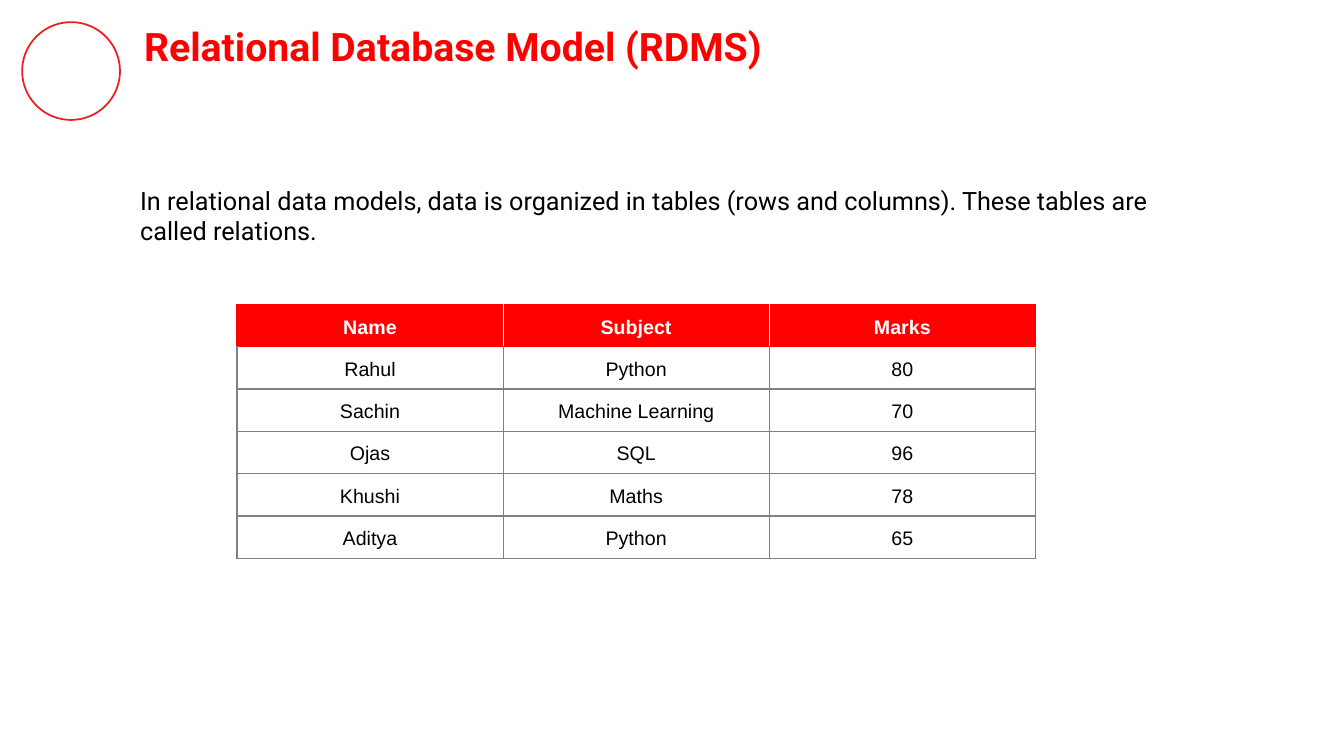
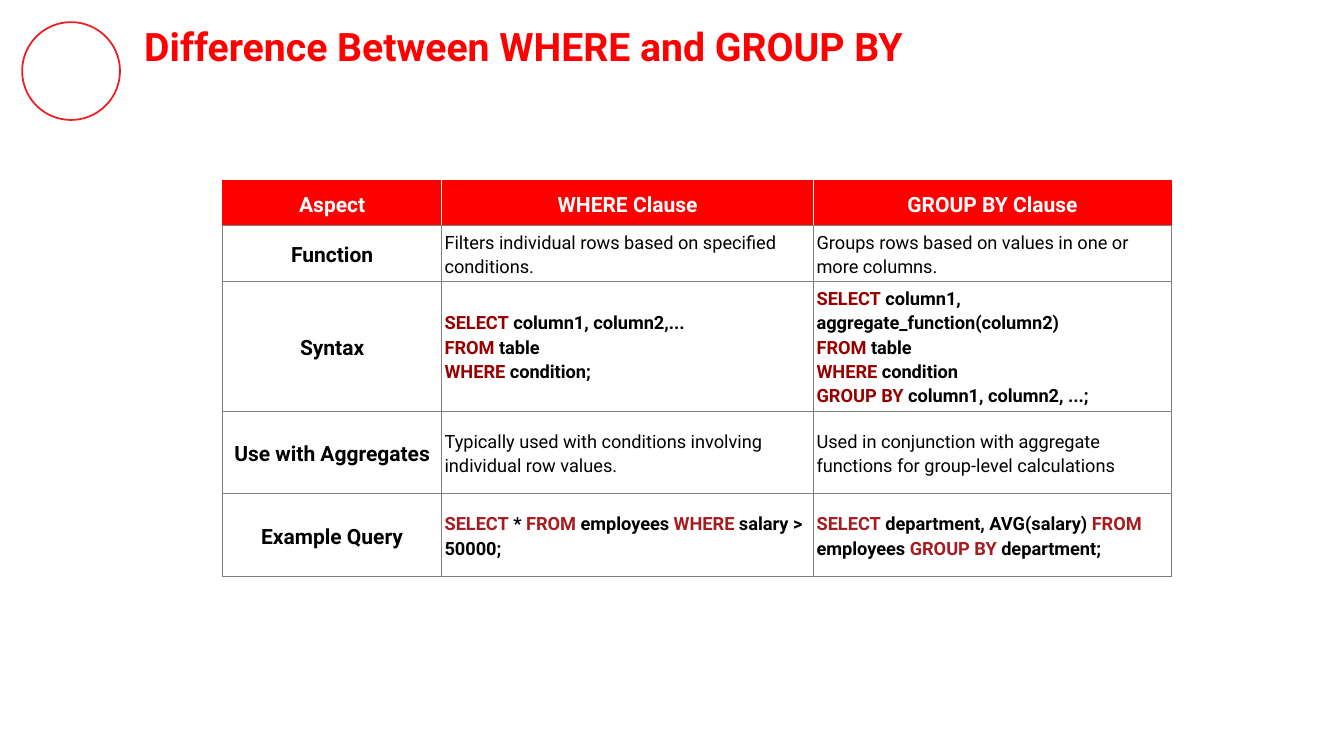
from dataclasses import dataclass

from pptx import Presentation
from pptx import util as u
from pptx.dml.color import RGBColor
from pptx.enum import shapes, text
from pptx.oxml import ns
from lxml import etree

# Shared look
EMU_PER_PX = 9144  # 100 px to the inch
TITLE_RED, HEADER_RED, RING_RED = "FF0001", "FF0000", "ED1D24"
SYNTAX_RED, QUERY_RED = "980000", "A71C20"
BLACK, WHITE, GRID = "000000", "FFFFFF", "808080"
ROBOTO, ARIAL = "Roboto", "Arial"
LEFT, CENTER = text.PP_ALIGN.LEFT, text.PP_ALIGN.CENTER


@dataclass
class Run:
    text: str
    size: float
    color: str = BLACK
    bold: bool = False


@dataclass
class Entry:
    lines: list
    align: int = LEFT


def px(length):
    return u.Emu(length * EMU_PER_PX)


def rgb(color):
    return RGBColor.from_string(color)


def set_margins(target, left, top, right, bottom):
    target.margin_left, target.margin_top = px(left), px(top)
    target.margin_right, target.margin_bottom = px(right), px(bottom)


def place(shape, left, top, width, height):
    shape.left, shape.top = px(left), px(top)
    shape.width, shape.height = px(width), px(height)


def write(frame, lines, font, align=LEFT, spacing=1.0):
    """Write one paragraph for each list of runs."""
    for index, runs in enumerate(lines):
        paragraph = frame.add_paragraph() if index else frame.paragraphs[0]
        paragraph.alignment = align
        paragraph.line_spacing = spacing
        for item in runs:
            run = paragraph.add_run()
            run.text = item.text
            run.font.name = font
            run.font.size = u.Pt(item.size)
            run.font.bold = item.bold
            run.font.color.rgb = rgb(item.color)


# Slide frame: ring and title
def add_titled_slide(deck, heading):
    slide = deck.slides.add_slide(deck.slide_layouts.get_by_name("Title Only"))
    ring = slide.shapes.add_shape(shapes.MSO_SHAPE.OVAL, px(22), px(22), px(97), px(97))
    ring.shadow.inherit = False
    ring.fill.background()
    ring.line.color.rgb = rgb(RING_RED)
    ring.line.width = u.Pt(1.25)

    title = slide.shapes.title
    place(title, 133, 12, 1118, 67)
    frame = title.text_frame
    frame.word_wrap = True
    frame.auto_size = text.MSO_AUTO_SIZE.NONE
    frame.vertical_anchor = text.MSO_ANCHOR.TOP
    set_margins(frame, 10, 10, 10, 10)
    write(frame, [[Run(heading, 28, TITLE_RED, True)]], ROBOTO)
    return slide


def add_body(slide, left, top, width, height, words):
    frame = slide.shapes.add_textbox(px(left), px(top), px(width), px(height)).text_frame
    frame.word_wrap = True
    set_margins(frame, 22, 5, 10, 5)
    write(frame, [[Run(words, 18)]], ROBOTO)


# Table entries
def label(words, size, color=BLACK, bold=True):
    return Entry([[Run(words, size, color, bold)]], CENTER)


def prose(words):
    return Entry([[Run(words, 13)]])


def code(keyword_color, *lines):
    """Each line alternates keyword and plain text, keyword first."""
    colors = (keyword_color, BLACK)
    return Entry([[Run(part, 13, colors[i % 2], True) for i, part in enumerate(line)]
                  for line in lines])


def set_borders(cell, colors):
    """Colours run left, right, top, bottom."""
    properties = cell._tc.get_or_add_tcPr()
    for index, (side, color) in enumerate(zip("LRTB", colors)):
        border = etree.Element(ns.qn(f"a:ln{side}"), w=str(u.Pt(1)))
        fill = etree.SubElement(border, ns.qn("a:solidFill"))
        etree.SubElement(fill, ns.qn("a:srgbClr"), val=color)
        properties.insert(index, border)


def border_colors(row, column, last_column, under_header):
    if row == 0:
        return (WHITE if column else HEADER_RED,
                WHITE if column < last_column else HEADER_RED,
                HEADER_RED, under_header)
    return GRID, GRID, under_header if row == 1 else GRID, GRID


def add_grid(slide, left, top, widths, heights, rows, font, under_header):
    table = slide.shapes.add_table(len(rows), len(widths), px(left), px(top),
                                   px(sum(widths)), px(sum(heights))).table
    table.first_row = table.horz_banding = False
    for column, width in zip(table.columns, widths):
        column.width = px(width)
    for r, (height, entries) in enumerate(zip(heights, rows)):
        table.rows[r].height = px(height)
        for c, entry in enumerate(entries):
            cell = table.cell(r, c)
            cell.vertical_anchor = text.MSO_ANCHOR.MIDDLE
            set_margins(cell, 3, 2, 3, 2)
            if r == 0:
                cell.fill.solid()
                cell.fill.fore_color.rgb = rgb(HEADER_RED)
            else:
                cell.fill.background()
            set_borders(cell, border_colors(r, c, len(widths) - 1, under_header))
            write(cell.text_frame, entry.lines, font, entry.align, 1.15)


# Slides
def add_relational_model(deck):
    slide = add_titled_slide(deck, "Relational Database Model (RDMS)")
    add_body(slide, 117, 179, 1045, 71,
             "In relational data models, data is organized in tables (rows and columns). "
             "These tables are called relations.")
    marks = [
        ("Rahul", "Python", "80"),
        ("Sachin", "Machine Learning", "70"),
        ("Ojas", "SQL", "96"),
        ("Khushi", "Maths", "78"),
        ("Aditya", "Python", "65"),
    ]
    rows = [[label(name, 14, WHITE) for name in ("Name", "Subject", "Marks")]]
    rows += [[label(value, 14, bold=False) for value in student] for student in marks]
    add_grid(slide, 235, 302, [264] * 3, [42] * len(rows), rows, ARIAL, HEADER_RED)


def add_clause_comparison(deck):
    slide = add_titled_slide(deck, "Difference Between WHERE and GROUP BY")
    aspects = [
        ("Function",
         prose("Filters individual rows based on specified conditions."),
         prose("Groups rows based on values in one or more columns.")),
        ("Syntax",
         code(SYNTAX_RED, ("SELECT", " column1, column2,..."), ("FROM", " table"),
              ("WHERE", " condition;")),
         code(SYNTAX_RED, ("SELECT", " column1, aggregate_function(column2)"),
              ("FROM", " table"), ("WHERE", " condition"),
              ("GROUP BY", " column1, column2, ...;"))),
        ("Use with Aggregates",
         prose("Typically used with conditions involving individual row values."),
         prose("Used in conjunction with aggregate functions for group-level calculations")),
        ("Example Query",
         code(QUERY_RED, ("SELECT", " * ", "FROM ", "employees ", "WHERE",
                          " salary > 50000;")),
         code(QUERY_RED, ("SELECT", " department, AVG(salary) ", "FROM", " employees ",
                          "GROUP BY ", "department;"))),
    ]
    rows = [[label(name, 15, WHITE) for name in ("Aspect", "WHERE Clause", "GROUP BY Clause")]]
    rows += [[label(aspect, 15), where, group_by] for aspect, where, group_by in aspects]
    add_grid(slide, 221, 179, [217, 369, 355], [45, 55, 129, 82, 82], rows, ROBOTO, GRID)


def main():
    deck = Presentation()
    deck.slide_width, deck.slide_height = u.Inches(13.33), u.Inches(7.5)
    add_relational_model(deck)
    add_clause_comparison(deck)
    deck.save("out.pptx")


if __name__ == "__main__":
    main()
